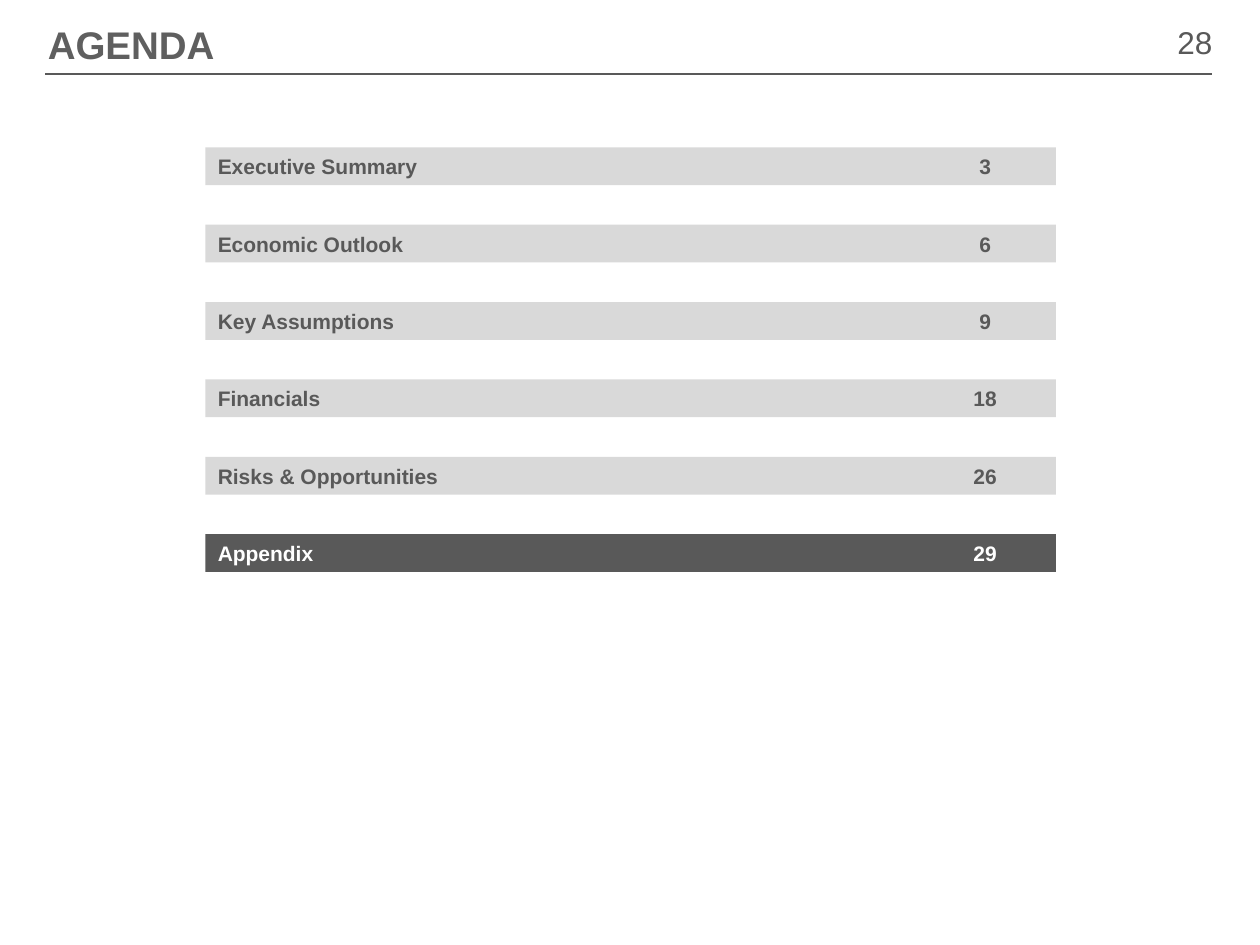
from dataclasses import dataclass

import pptx
import pptx.dml.color
import pptx.enum.shapes
import pptx.enum.text
import pptx.oxml.ns
import pptx.util
from lxml import etree

RGBColor = pptx.dml.color.RGBColor
ALIGN = pptx.enum.text.PP_ALIGN
ANCHOR = pptx.enum.text.MSO_ANCHOR
qn = pptx.oxml.ns.qn
inches = pptx.util.Inches

GREY = RGBColor(0x59, 0x59, 0x59)
TITLE_GREY = RGBColor(0x5F, 0x5F, 0x5F)
LIGHT_GREY = RGBColor(0xD9, 0xD9, 0xD9)
WHITE = RGBColor(0xFF, 0xFF, 0xFF)

BAR_LEFT, BAR_TOP = 1.63, 1.17
BAR_WIDTH, BAR_HEIGHT = 6.75, 0.3
ROW_PITCH = 0.614
PAGE_TAB = 6.09


@dataclass
class AgendaItem:
    name: str
    page: int
    current: bool = False


AGENDA = [
    AgendaItem("Executive Summary", 3),
    AgendaItem("Economic Outlook", 6),
    AgendaItem("Key Assumptions", 9),
    AgendaItem("Financials", 18),
    AgendaItem("Risks & Opportunities", 26),
    AgendaItem("Appendix", 29, current=True),
]


def write(shape, text: str, size: float, color: RGBColor, bold: bool,
          align=ALIGN.LEFT, anchor=ANCHOR.MIDDLE):
    tf = shape.text_frame
    frame_format = {"word_wrap": True, "vertical_anchor": anchor,
                    "auto_size": pptx.enum.text.MSO_AUTO_SIZE.NONE}
    for name, value in frame_format.items():
        setattr(tf, name, value)
    p = tf.paragraphs[0]
    p.alignment = align
    r = p.add_run()
    r.text = text
    font_format = {"name": "Arial", "size": pptx.util.Pt(size), "bold": bold}
    for name, value in font_format.items():
        setattr(r.font, name, value)
    r.font.color.rgb = color
    return p


def add_center_tab(p, position: float) -> None:
    tabs = etree.SubElement(p._p.get_or_add_pPr(), qn("a:tabLst"))
    etree.SubElement(tabs, qn("a:tab"), pos=str(inches(position)), algn="ctr")


def add_header(s, title: str, page: str) -> None:
    title_box = s.shapes.title
    place = {"left": 0.28, "top": 0.1, "width": 8.51, "height": 0.5}
    for name, value in place.items():
        setattr(title_box, name, inches(value))
    write(title_box, title, 22, TITLE_GREY, True)

    rule = s.shapes.add_connector(
        pptx.enum.shapes.MSO_CONNECTOR.STRAIGHT,
        inches(0.36), inches(0.59), inches(9.62), inches(0.59))
    rule.line.color.rgb = GREY
    rule.line.width = pptx.util.Pt(1)
    etree.SubElement(rule._element.spPr, qn("a:effectLst"))

    number = s.shapes.add_textbox(
        inches(8.77), inches(0.13), inches(0.95), inches(0.5))
    write(number, page, 18, GREY, False, ALIGN.RIGHT, ANCHOR.TOP)


def add_agenda_bar(s, row: int, item: AgendaItem) -> None:
    bar = s.shapes.add_shape(
        pptx.enum.shapes.MSO_SHAPE.RECTANGLE,
        inches(BAR_LEFT), inches(BAR_TOP + row * ROW_PITCH),
        inches(BAR_WIDTH), inches(BAR_HEIGHT))
    bar.shadow.inherit = False
    bar.fill.solid()
    bar.fill.fore_color.rgb = GREY if item.current else LIGHT_GREY
    bar.line.fill.background()
    p = write(bar, f"{item.name}\t{item.page}", 12,
              WHITE if item.current else GREY, True)
    add_center_tab(p, PAGE_TAB)


def main() -> None:
    prs = pptx.Presentation()
    prs.slide_width, prs.slide_height = inches(10), inches(7.5)
    s = prs.slides.add_slide(prs.slide_layouts.get_by_name("Title Only"))
    add_header(s, "AGENDA", "28")
    for row, item in enumerate(AGENDA):
        add_agenda_bar(s, row, item)
    prs.save("out.pptx")


if __name__ == "__main__":
    main()
